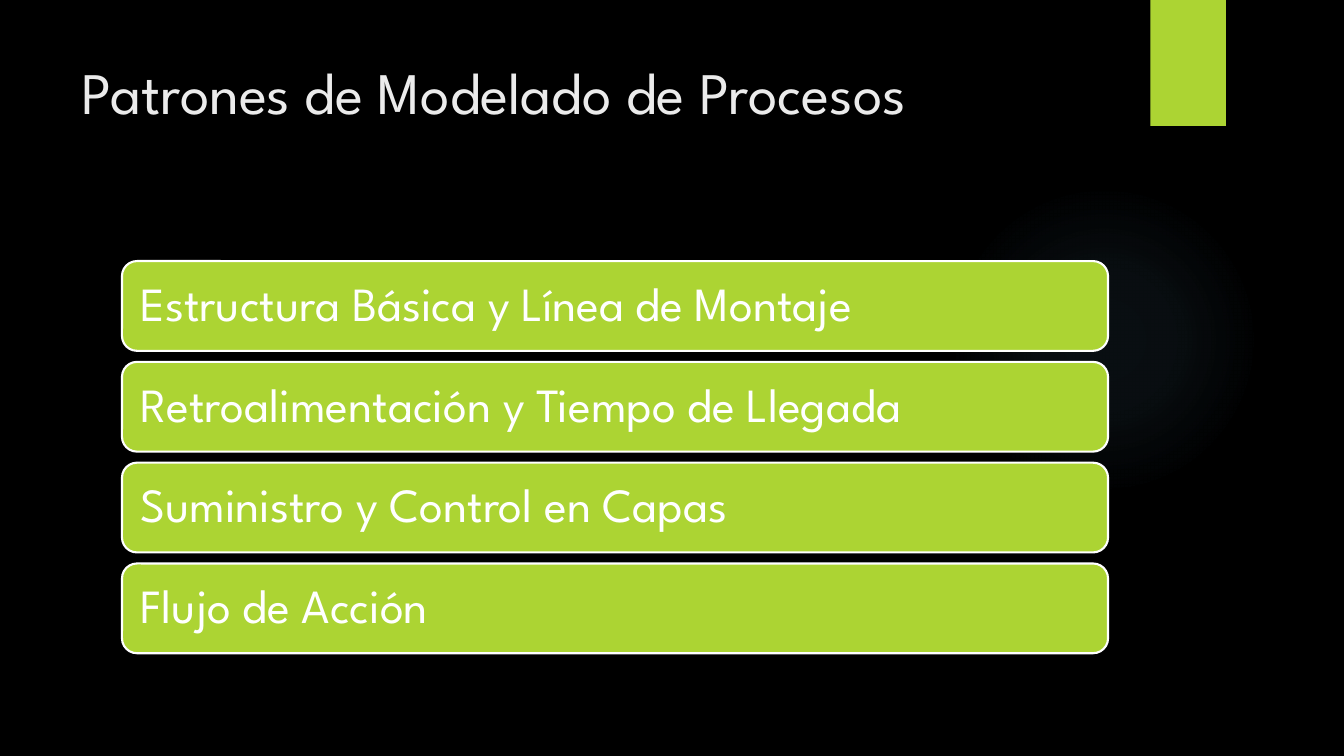
"""Build the slide listing the process modelling patterns."""
from dataclasses import dataclass

from lxml.etree import SubElement
from pptx import Presentation
from pptx.dml.color import RGBColor
from pptx.enum.shapes import MSO_SHAPE
from pptx.enum.text import MSO_ANCHOR, MSO_AUTO_SIZE, PP_ALIGN
from pptx.oxml.ns import qn
from pptx.util import Inches, Pt


@dataclass(frozen=True)
class Theme:
    """Colours and type of the slide."""
    font: str = "League Spartan"
    title_size: int = 42
    pattern_size: int = 34
    background: str = "000000"
    accent: str = "ACD433"
    glow: str = "7AC4F0"
    title: str = "EBEBEB"
    light: str = "FFFFFF"


THEME = Theme()
WIDTH, HEIGHT = 13.33, 7.5
BAR_LEFT, BAR_TOP, BAR_WIDTH, BAR_HEIGHT, BAR_PITCH = 1.21, 2.59, 9.78, 0.89, 1.0
GLOW_STOPS = ((0, 7), (36, 6), (69, 0))
PATTERNS = (
    "Estructura Básica y Línea de Montaje",
    "Retroalimentación y Tiempo de Llegada",
    "Suministro y Control en Capas",
    "Flujo de Acción",
)


def add_filled(slide, preset, left, top, width, height, color=THEME.accent):
    """Add a flat preset shape without outline or shadow."""
    shape = slide.shapes.add_shape(preset, *map(Inches, (left, top, width, height)))
    shape.shadow.inherit = False
    shape.fill.solid()
    shape.fill.fore_color.rgb = RGBColor.from_string(color)
    shape.line.fill.background()
    return shape


def style_text(frame, size, color):
    """Give every paragraph of a frame the same left-aligned type."""
    frame.word_wrap = True
    frame.auto_size = MSO_AUTO_SIZE.NONE
    for paragraph in frame.paragraphs:
        paragraph.alignment = PP_ALIGN.LEFT
        paragraph.font.name = THEME.font
        paragraph.font.size = Pt(size)
        paragraph.font.color.rgb = RGBColor.from_string(color)


def add_glow(slide, left, top, diameter):
    """Add a faint circular glow that fades towards its edge."""
    glow = add_filled(slide, MSO_SHAPE.OVAL, left, top, diameter, diameter, THEME.glow)
    solid = glow.fill.fore_color and glow.element.spPr.find(qn("a:solidFill"))
    gradient = solid.makeelement(qn("a:gradFill"), {"rotWithShape": "1"})
    stops = SubElement(gradient, qn("a:gsLst"))
    for position, opacity in GLOW_STOPS:
        stop = SubElement(stops, qn("a:gs"), pos=str(position * 1000))
        color = SubElement(stop, qn("a:srgbClr"), val=THEME.glow)
        SubElement(color, qn("a:alpha"), val=str(opacity * 1000))
    circle = SubElement(gradient, qn("a:path"), {"path": "circle"})
    SubElement(circle, qn("a:fillToRect"), dict.fromkeys("ltrb", "50000"))
    solid.getparent().replace(solid, gradient)


def set_title(slide, text):
    """Fill and place the title placeholder."""
    title = slide.shapes.title
    title.left, title.top, title.width, title.height = map(Inches, (0.71, 0.5, 10.29, 1.53))
    title.text_frame.text = text
    title.text_frame.vertical_anchor = MSO_ANCHOR.TOP
    style_text(title.text_frame, THEME.title_size, THEME.title)


def add_pattern(slide, row, text):
    """Add one outlined bar of the pattern list."""
    bar = add_filled(slide, MSO_SHAPE.ROUNDED_RECTANGLE, BAR_LEFT,
                     BAR_TOP + row * BAR_PITCH, BAR_WIDTH, BAR_HEIGHT)
    bar.line.color.rgb = RGBColor.from_string(THEME.light)
    bar.line.width = Pt(1.5)
    frame = bar.text_frame
    frame.text = text
    frame.vertical_anchor = MSO_ANCHOR.MIDDLE
    frame.margin_left = frame.margin_right = Inches(0.14)
    frame.margin_top = frame.margin_bottom = Inches(0.14)
    style_text(frame, THEME.pattern_size, THEME.light)
    frame.paragraphs[0].line_spacing = 0.9


def main():
    """Compose and save the slide."""
    deck = Presentation()
    deck.slide_width, deck.slide_height = Inches(WIDTH), Inches(HEIGHT)
    slide = deck.slides.add_slide(deck.slide_layouts.get_by_name("Title Only"))
    slide.background.fill.solid()
    slide.background.fill.fore_color.rgb = RGBColor.from_string(THEME.background)
    add_glow(slide, 9.41, 1.83, 3.08)
    add_filled(slide, MSO_SHAPE.RECTANGLE, 11.41, 0, 0.75, HEIGHT / 6)
    set_title(slide, "Patrones de Modelado de Procesos")
    for row, pattern in enumerate(PATTERNS):
        add_pattern(slide, row, pattern)
    deck.save("out.pptx")


if __name__ == "__main__":
    main()
